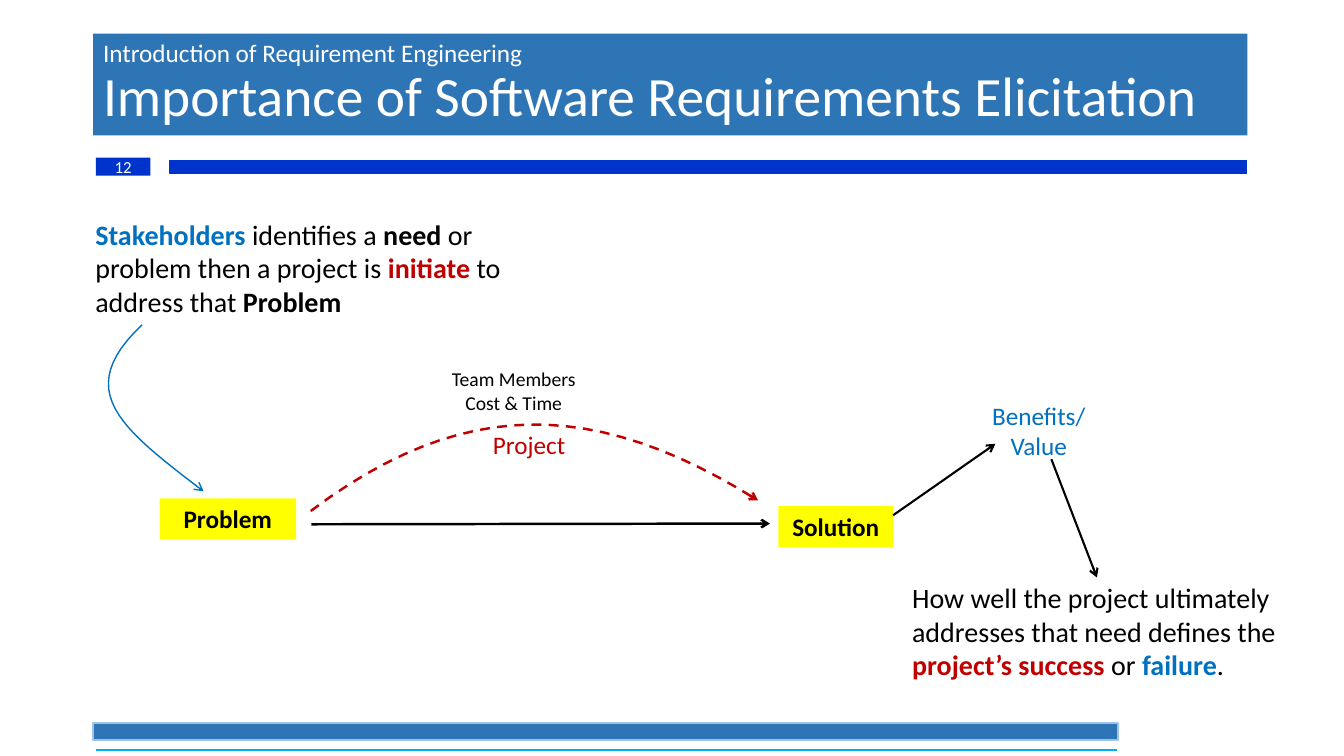
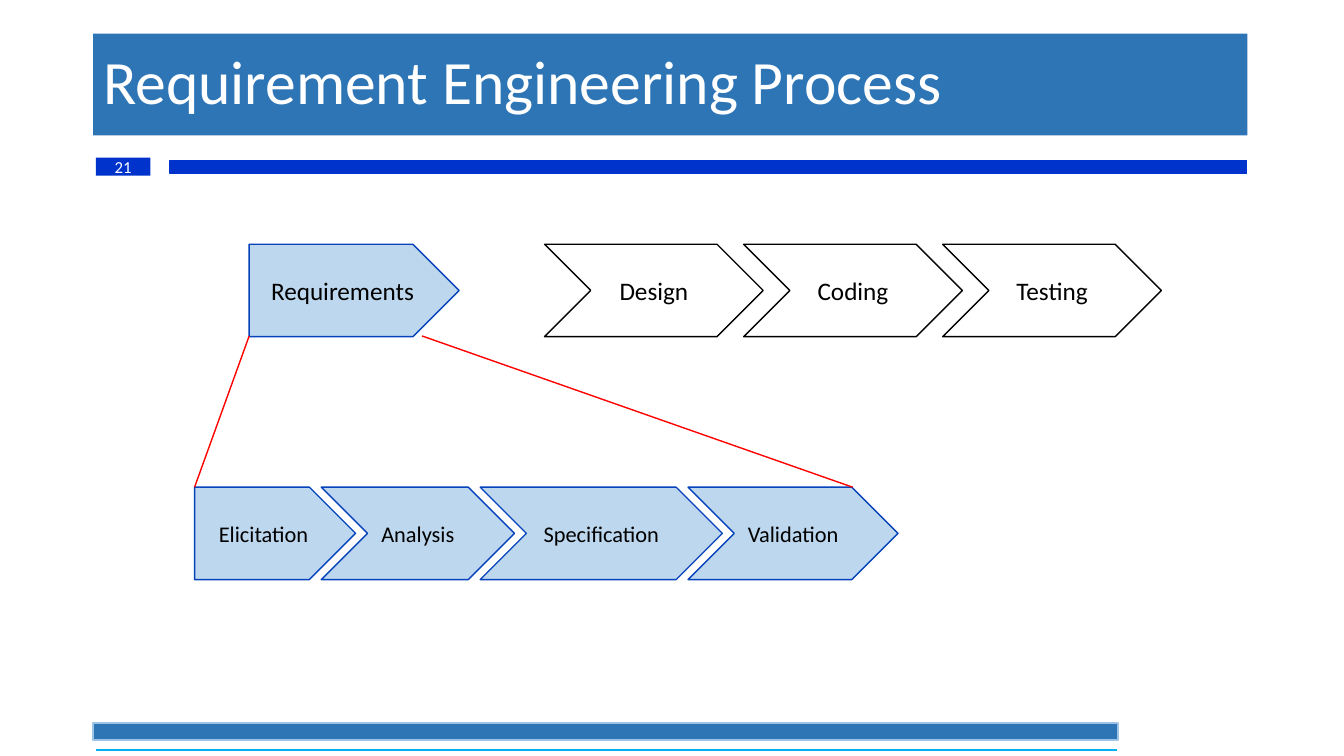
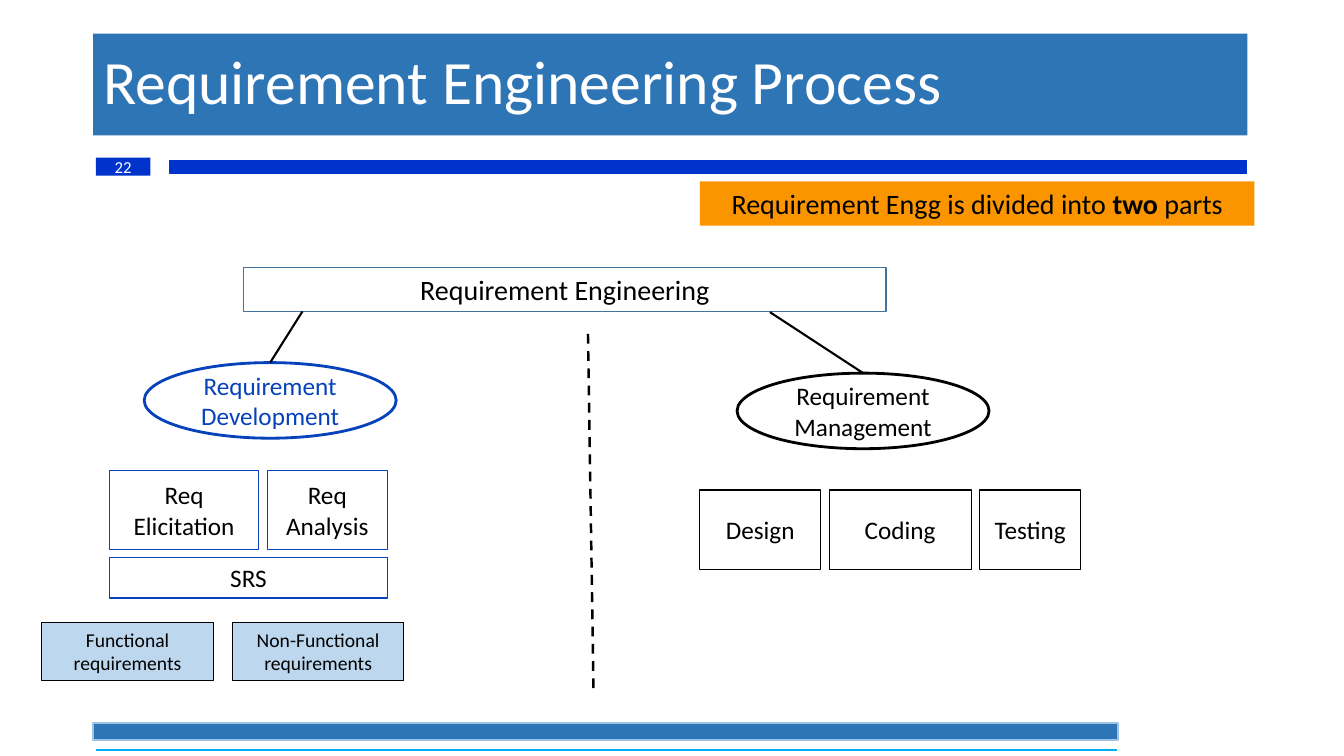
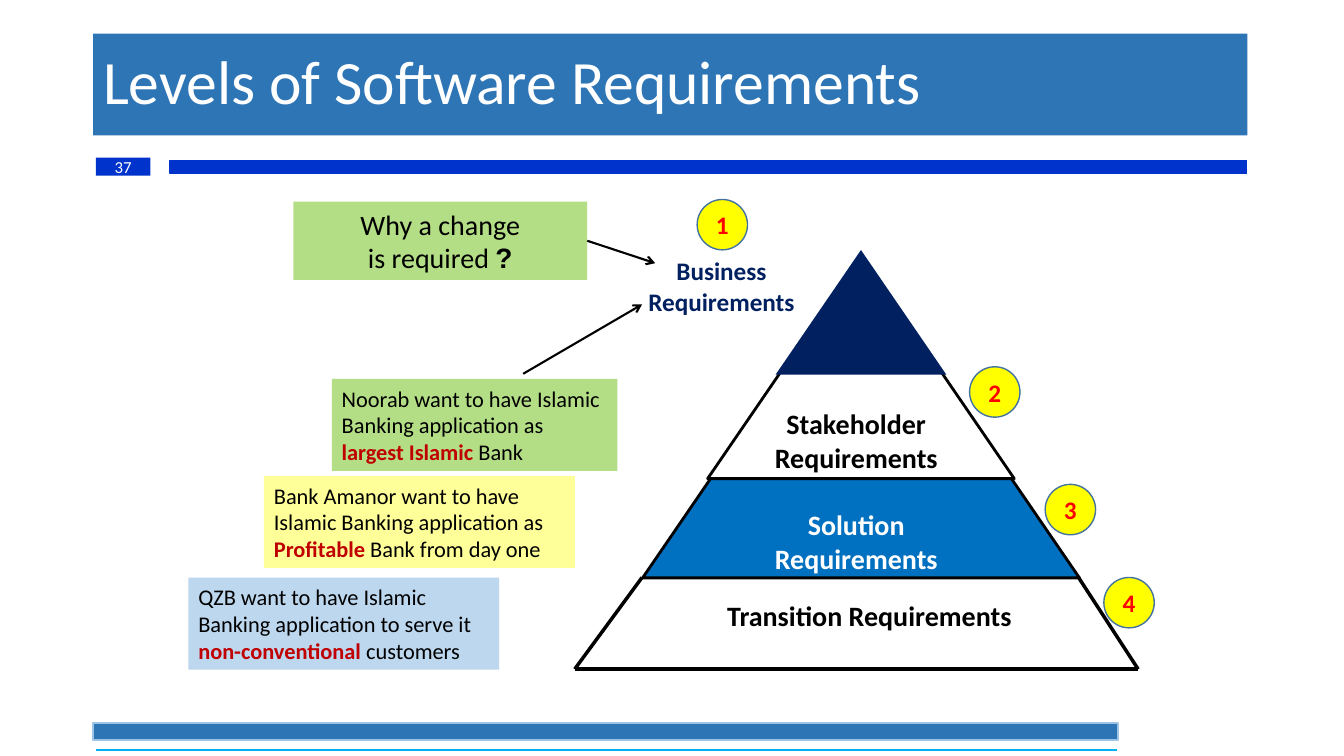
"""Build four slides on requirement engineering."""
from itertools import pairwise
from lxml import etree
from pptx import Presentation
from pptx.dml.color import RGBColor
from pptx.enum.dml import MSO_LINE
from pptx.enum.shapes import MSO_CONNECTOR, MSO_SHAPE
from pptx.enum.text import MSO_ANCHOR, PP_ALIGN
from pptx.oxml.ns import qn
from pptx.util import Pt

RECT, ELLIPSE = MSO_SHAPE.RECTANGLE, MSO_SHAPE.OVAL
PLATE, CHEVRON, TRIANGLE = MSO_SHAPE.PENTAGON, MSO_SHAPE.CHEVRON, MSO_SHAPE.ISOSCELES_TRIANGLE
STRAIGHT, DASH, MIDDLE = MSO_CONNECTOR.STRAIGHT, MSO_LINE.DASH, MSO_ANCHOR.MIDDLE
LEFT, CENTER = PP_ALIGN.LEFT, PP_ALIGN.CENTER
TOP_SIDE, RIGHT_SIDE = 0, 3
LINE_PITCH, PADDING = 1.22, 7.2

BLACK, WHITE, YELLOW, RED = "000000", "FFFFFF", "FFFF00", "FF0000"
TITLE_BLUE, BAND_BLUE, INK_BLUE, EDGE_BLUE = "2E75B6", "0033CC", "0642BA", "43739E"
BRIGHT_BLUE, PALE_BLUE, NAVY, CYAN = "0070C0", "BDD7EE", "002060", "00B0F0"
CRIMSON, GREEN, CREAM, ORANGE = "C00000", "B4DE86", "FFFF99", "FA9500"

DEFAULT = dict(shape=RECT, fill=None, edge=None, weight=1, size=18, ink=BLACK, bold=False,
               align=CENTER, spacing=1, height=None, lines=None)
TITLE = dict(fill=TITLE_BLUE, ink=WHITE, size=44, align=LEFT, spacing=0.9, height=72.7)
BADGE = dict(fill=BAND_BLUE, ink=WHITE, size=12, height=13)
FOOTER = dict(fill=TITLE_BLUE, edge="9DC3E6", height=12)
BAND = dict(fill=BAND_BLUE, edge=BAND_BLUE, height=9.4)
CAPTION = dict(shape=None)
PROSE = dict(shape=None, size=20, align=LEFT, lines=3)
MILESTONE = dict(fill=YELLOW, bold=True)
PHASE = dict(shape=CHEVRON, edge=BLACK, height=66)
RE_PHASE = dict(PHASE, fill=PALE_BLUE, edge=INK_BLUE, size=16)
REQ_TYPE = dict(fill=PALE_BLUE, edge=BLACK, weight=0.75, size=14)
ACTIVITY = dict(fill=WHITE, edge=BLACK, weight=0.75, height=56.5)
DEV_ACTIVITY = dict(ACTIVITY, edge=INK_BLUE)
BRANCH = dict(shape=ELLIPSE, fill=WHITE, edge=BLACK, weight=2, height=54)
TIER = dict(shape=TRIANGLE, edge=BLACK, weight=2)
LEVEL = dict(shape=None, size=20, bold=True)
NUMBER = dict(shape=ELLIPSE, fill=YELLOW, edge=EDGE_BLUE, ink=RED, bold=True, height=36)
EXAMPLE = dict(size=16, align=LEFT, lines=3)

ARROW = dict(color=BLACK, weight=1.5, arrow=True)
LINK = dict(color=BLACK, weight=1.5)
ZOOM = dict(color=RED, weight=1)
BASE = dict(color=BLACK, weight=2.5)

PYRAMID_AXIS, PYRAMID_SLOPE = 615, 0.73
TIERS = [(185, 312, dict(TIER, fill=BRIGHT_BLUE)), (182, 219, dict(TIER, fill=WHITE)),
         (178.6, 122, dict(TIER, fill=NAVY, edge=None))]
LEVEL_SPOTS = [(498, 142.5), (692.6, 262), (746.6, 346), (788.5, 412.5)]
PYRAMID_FOOT = [(458.6, 412.5), (410.5, 478), (813, 478), (770.4, 412.5)]


def row(left, top, gap, cells):
    """Place (text, width, style) cells side by side."""
    placed = []
    for text, width, style in cells:
        placed.append((left, top, width, text, style))
        left += width + gap
    return placed


SLIDES = [
    dict(
        number="12",
        title=[(("Introduction of Requirement Engineering", WHITE, False, 18),),
               (("Importance of Software Requirements Elicitation", WHITE, False, 39.6),)],
        boxes=[
            (697, 282, 90, ["Benefits/", "Value"], dict(CAPTION, ink=BRIGHT_BLUE)),
            (61, 151, 326,
             [(("Stakeholders", BRIGHT_BLUE), " identifies a ", ("need", BLACK),
               " or problem then a project is ", ("initiate ", CRIMSON), "to address that ",
               ("Problem", BLACK))], PROSE),
            (644.4, 410.4, 278,
             [("How well the project ultimately addresses that need defines the ",
               ("project’s success ", CRIMSON), "or ", ("failure", BRIGHT_BLUE), ".")], PROSE),
            (114, 356, 97.5, ["Problem"], MILESTONE),
            (556, 361.5, 82, ["Solution"], MILESTONE),
            (345, 303, 76, ["Project"], dict(CAPTION, ink=CRIMSON, align=LEFT)),
            (313, 258.5, 108, ["Team Members", "Cost & Time"], dict(CAPTION, size=14)),
        ],
        lines=[((638, 368), (711, 317), ARROW), ((751, 328), (783.5, 412.5), ARROW),
               ((222.5, 374.5), (550, 374), dict(ARROW, weight=1.75))],
        curves=[
            ([(101.5, 232), (52, 279), (85, 305), (145.4, 351)],
             dict(ARROW, color=BRIGHT_BLUE, weight=1)),
            ([(222, 365), (330, 284), (424, 284), (541.5, 357.5)],
             dict(ARROW, color=CRIMSON, weight=1.75, dash=True)),
        ],
    ),
    dict(
        number="21",
        title=["Requirement Engineering Process"],
        boxes=[
            (178, 174.5, 150, ["Requirements"], dict(RE_PHASE, shape=PLATE, size=18)),
            *row(389, 174.5, -14, [([name], 156.2, PHASE)
                                   for name in ("Design", "Coding", "Testing")]),
            *row(139, 348, -24.5, [(["Elicitation"], 115, dict(RE_PHASE, shape=PLATE)),
                                   (["Analysis"], 138, RE_PHASE),
                                   (["Specification"], 173, RE_PHASE),
                                   (["Validation"], 150, RE_PHASE)]),
        ],
        lines=[((301.5, 240), (609, 348), ZOOM), ((178, 240), (139, 348), ZOOM)],
    ),
    dict(
        number="22",
        title=["Requirement Engineering Process"],
        boxes=[
            (174, 191, 459, ["Requirement Engineering"],
             dict(fill=WHITE, edge=EDGE_BLUE, size=20)),
            (103, 259, 180, ["Requirement Development"],
             dict(BRANCH, edge=INK_BLUE, ink=INK_BLUE)),
            (526.5, 266.5, 180, ["Requirement Management"], BRANCH),
            *row(78, 336, 5.8, [(["Req", "Elicitation"], 107, DEV_ACTIVITY),
                                (["Req", "Analysis"], 86, DEV_ACTIVITY)]),
            (78, 398, 199, ["SRS"], dict(DEV_ACTIVITY, height=None)),
            *row(30, 444.5, 13.7, [([name, "requirements"], 122.4, REQ_TYPE)
                                   for name in ("Functional", "Non-Functional")]),
            *row(500, 350, 6.2, [(["Design"], 86, ACTIVITY), (["Coding"], 101.5, ACTIVITY),
                                 (["Testing"], 72, ACTIVITY)]),
            (500, 129.6, 396,
             [("Requirement Engg is divided into ", ("two", BLACK), " parts")],
             dict(fill=ORANGE, size=20)),
        ],
        lines=[((216, 222.5), ("Requirement Development", TOP_SIDE), LINK),
               ((550, 223), ("Requirement Management", TOP_SIDE), LINK),
               ((420, 238.5), (424, 495), dict(LINK, weight=1.75, dash=True))],
    ),
    dict(
        number="37",
        title=["Levels of Software Requirements"],
        boxes=[
            *[(PYRAMID_AXIS - width / 2, top, width, [],
               dict(style, height=width * PYRAMID_SLOPE)) for top, width, style in TIERS],
            (501.6, 286.6, 220, ["Stakeholder", "Requirements"], LEVEL),
            (501.6, 358.6, 220, ["Solution", "Requirements"], dict(LEVEL, ink=WHITE)),
            (511, 424, 220, ["Transition Requirements"], LEVEL),
            (446.4, 178.6, 138, ["Business", "Requirements"], dict(LEVEL, size=18, ink=NAVY)),
            (209.5, 144, 210, ["Why a change", ("is required ", ("?", BLACK, True, 20, "Arial"))],
             dict(fill=GREEN, size=20)),
            *[(*spot, NUMBER["height"], [str(level)], NUMBER)
              for level, spot in enumerate(LEVEL_SPOTS, 1)],
            (237, 270.7, 204,
             [("Noorab want to have Islamic Banking application as ",
               ("largest Islamic ", CRIMSON), "Bank")], dict(EXAMPLE, fill=GREEN)),
            (188.6, 340, 222,
             [("Bank Amanor want to have Islamic Banking application as ",
               ("Profitable", CRIMSON), " Bank from day one")], dict(EXAMPLE, fill=CREAM)),
            (134.6, 412.6, 222,
             [("QZB want to have Islamic Banking application to serve it ",
               ("non-conventional ", CRIMSON), "customers")], dict(EXAMPLE, fill=PALE_BLUE)),
        ],
        lines=[*[(start, end, BASE) for start, end in pairwise(PYRAMID_FOOT)],
               (("Why a change", RIGHT_SIDE), (468, 188), ARROW),
               ((373.7, 267), (458.6, 217.5), ARROW)],
    ),
]


def rgb(value):
    return RGBColor.from_string(value)


def stroke(line, color, weight, dash=False, arrow=False):
    line.color.rgb = rgb(color)
    line.width = Pt(weight)
    if dash:
        line.dash_style = DASH
    if arrow:
        etree.SubElement(line._get_or_add_ln(), qn("a:tailEnd"), type="arrow")


def add_run(paragraph, text, color, bold, size, font="Calibri"):
    run = paragraph.add_run()
    run.text = text
    run.font.name = font
    run.font.size = Pt(size)
    run.font.bold = bold
    run.font.color.rgb = rgb(color)


def write(frame, paragraphs, look):
    """Write paragraphs; a tuple run is (text, colour, bold, size, font)."""
    frame.word_wrap = True
    frame.vertical_anchor = MIDDLE
    for index, runs in enumerate(paragraphs):
        paragraph = frame.add_paragraph() if index else frame.paragraphs[0]
        paragraph.alignment = look["align"]
        paragraph.line_spacing = look["spacing"]
        for run in (runs,) if isinstance(runs, str) else runs:
            if isinstance(run, str):
                add_run(paragraph, run, look["ink"], look["bold"], look["size"])
            else:
                text, color, *rest = run
                add_run(paragraph, text, color, *(rest or (True, look["size"])))


def add_box(slide, left, top, width, paragraphs, style):
    """Add a box; without a set height it fits its lines of text."""
    look = {**DEFAULT, **style}
    lines = look["lines"] or len(paragraphs)
    height = look["height"] or lines * look["size"] * LINE_PITCH + PADDING
    place = [Pt(length) for length in (left, top, width, height)]
    if look["shape"] is None:
        box = slide.shapes.add_textbox(*place)
    else:
        box = slide.shapes.add_shape(look["shape"], *place)
        box.shadow.inherit = False
        if look["fill"]:
            box.fill.solid()
            box.fill.fore_color.rgb = rgb(look["fill"])
        else:
            box.fill.background()
        if look["edge"]:
            stroke(box.line, look["edge"], look["weight"])
        else:
            box.line.fill.background()
    write(box.text_frame, paragraphs, look)
    return box


def add_line(slide, start, end, style, boxes):
    """Draw a line; an end is a point or a (box label, side) pair."""
    joins = [isinstance(tip[0], str) for tip in (start, end)]
    points = [(0, 0) if joined else tip for tip, joined in zip((start, end), joins)]
    line = slide.shapes.add_connector(STRAIGHT, *[Pt(v) for point in points for v in point])
    etree.SubElement(line._element.spPr, qn("a:effectLst"))
    stroke(line.line, **style)
    if joins[0]:
        line.begin_connect(boxes[start[0]], start[1])
    if joins[1]:
        line.end_connect(boxes[end[0]], end[1])


def bezier(controls, steps=24):
    """Sample a cubic curve by repeated interpolation."""
    for step in range(1, steps + 1):
        t, points = step / steps, controls
        while len(points) > 1:
            points = [(ax + (bx - ax) * t, ay + (by - ay) * t)
                      for (ax, ay), (bx, by) in pairwise(points)]
        yield tuple(Pt(v) for v in points[0])


def add_curve(slide, controls, style):
    builder = slide.shapes.build_freeform(*[Pt(v) for v in controls[0]])
    builder.add_line_segments(list(bezier(controls)), close=False)
    curve = builder.convert_to_shape()
    curve.shadow.inherit = False
    curve.fill.background()
    stroke(curve.line, **style)


def add_frame(slide, title, number):
    """Add the title, bands, badge and footer that all slides share."""
    add_box(slide, 66.5, 516.5, 732, [], FOOTER)
    add_line(slide, (68.5, 535.7), (798, 535.7), dict(color=CYAN, weight=1.75), {})
    add_box(slide, 121.5, 114.6, 769, [], BAND)
    add_box(slide, 66.5, 24, 824.5, title, TITLE)
    add_box(slide, 68.5, 112.5, 39, [number], BADGE)


def main():
    deck = Presentation()
    deck.slide_width, deck.slide_height = Pt(960), Pt(540)
    for content in SLIDES:
        slide = deck.slides.add_slide(deck.slide_layouts[6])
        add_frame(slide, content["title"], content["number"])
        boxes = {}
        for *place, paragraphs, style in content["boxes"]:
            box = add_box(slide, *place, paragraphs, style)
            boxes[box.text_frame.paragraphs[0].text] = box
        for start, end, style in content["lines"]:
            add_line(slide, start, end, style, boxes)
        for controls, style in content.get("curves", []):
            add_curve(slide, controls, style)
    deck.save("out.pptx")


if __name__ == "__main__":
    main()
